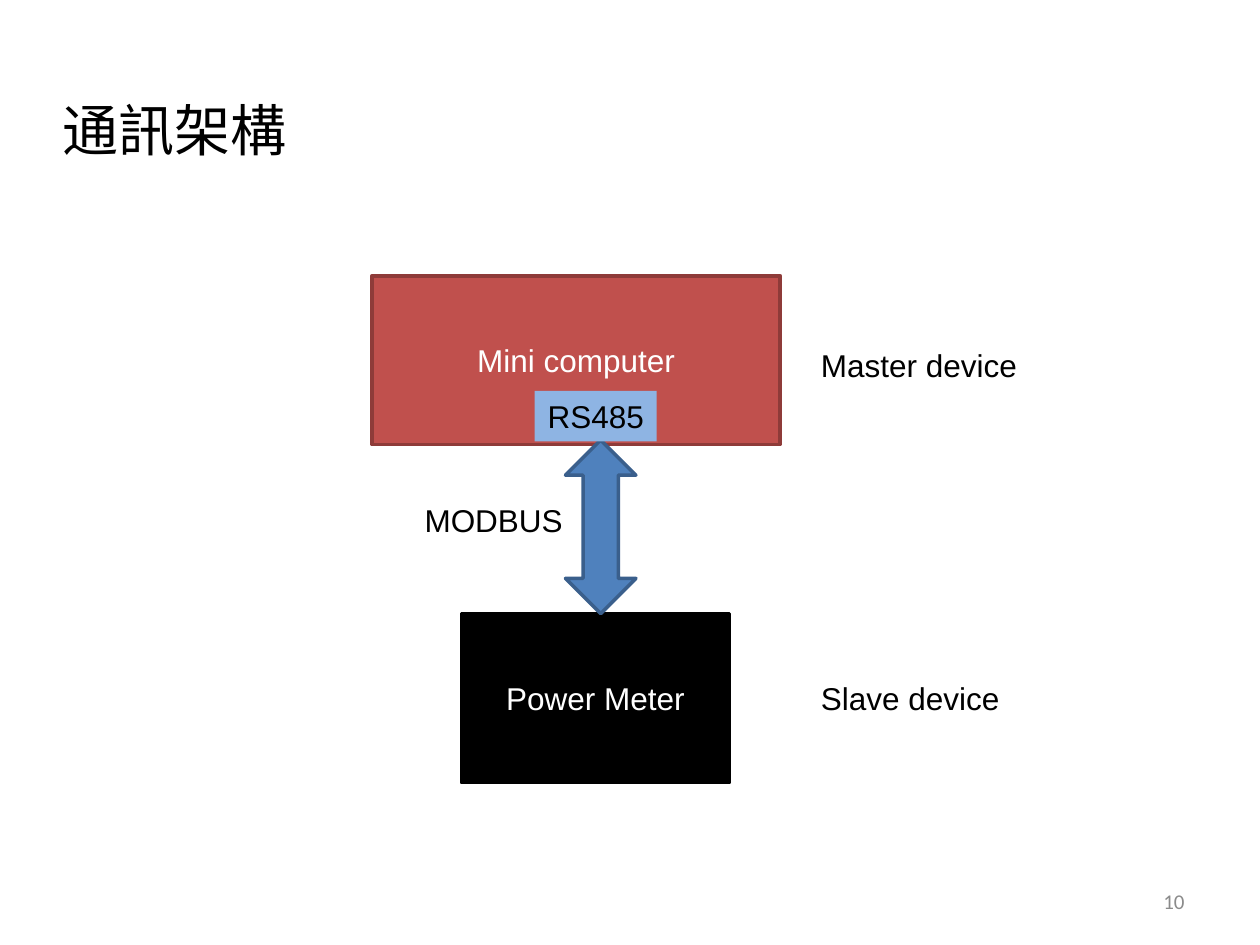
"""Build the communication architecture slide."""
from dataclasses import dataclass
from typing import Optional

from pptx import Presentation
from pptx.dml.color import RGBColor
from pptx.enum.shapes import MSO_SHAPE
from pptx.enum.text import MSO_ANCHOR, PP_ALIGN
from pptx.util import Cm, Pt

COLOURS = {
    "black": "000000",
    "white": "FFFFFF",
    "grey": "8B8B8B",
    "red": "C0504D",
    "dark red": "8E3B39",
    "blue": "4F81BD",
    "dark blue": "3A5F8C",
    "light blue": "8EB4E3",
}


@dataclass
class Block:
    left: float
    top: float
    width: float
    height: float
    fill: str
    line: Optional[str] = None
    text: str = ""
    colour: str = "white"
    kind: MSO_SHAPE = MSO_SHAPE.RECTANGLE


@dataclass
class Label:
    left: float
    top: float
    width: float
    text: str
    size: int = 18
    font: str = "Arial"
    colour: str = "black"
    align: PP_ALIGN = PP_ALIGN.LEFT


BLOCKS = [
    Block(9.3, 12.37, 5.41, 3.4, "black", "black", "Power Meter"),
    Block(7.5, 5.56, 8.23, 3.4, "red", "dark red", "Mini computer"),
    Block(11.4, 8.87, 1.42, 3.5, "blue", "dark blue", kind=MSO_SHAPE.UP_DOWN_ARROW),
    Block(10.78, 7.88, 2.46, 1.02, "light blue", None, "RS485", "black"),
]
LABELS = [
    Label(8.31, 9.98, 3.33, "MODBUS"),
    Label(16.3, 6.85, 4.5, "Master device"),
    Label(16.3, 13.56, 4.14, "Slave device"),
    Label(18.21, 17.65, 5.92, "10", 12, "Calibri", "grey", PP_ALIGN.RIGHT),
]


def colour_of(name: str) -> RGBColor:
    """Look up a named colour."""
    return RGBColor.from_string(COLOURS[name])


def write(box, text: str, size: int, font: str, colour: str, align: PP_ALIGN) -> None:
    """Put one formatted, vertically centred line of text in a box."""
    frame = box.text_frame
    frame.text = text
    frame.word_wrap = align == PP_ALIGN.RIGHT
    frame.vertical_anchor = MSO_ANCHOR.MIDDLE
    paragraph = frame.paragraphs[0]
    paragraph.alignment = align
    for span in paragraph.runs:
        span.font.size = Pt(size)
        span.font.name = font
        span.font.color.rgb = colour_of(colour)


def draw_block(page, block: Block) -> None:
    """Draw a filled shape with optional outline and text."""
    box = page.shapes.add_shape(
        block.kind, Cm(block.left), Cm(block.top), Cm(block.width), Cm(block.height)
    )
    box.shadow.inherit = False
    box.fill.solid()
    box.fill.fore_color.rgb = colour_of(block.fill)
    if block.line:
        box.line.color.rgb = colour_of(block.line)
        box.line.width = Pt(2)
    else:
        box.line.fill.background()
    if block.text:
        write(box, block.text, 18, "Arial", block.colour, PP_ALIGN.CENTER)


def draw_label(page, label: Label) -> None:
    """Draw a free-standing line of text."""
    box = page.shapes.add_textbox(
        Cm(label.left), Cm(label.top), Cm(label.width), Cm(1.02)
    )
    write(box, label.text, label.size, label.font, label.colour, label.align)


def main() -> None:
    """Assemble and save the deck."""
    deck = Presentation()
    deck.slide_width, deck.slide_height = Cm(25.4), Cm(19.05)
    page = deck.slides.add_slide(deck.slide_layouts[5])
    title = page.shapes.title
    title.left, title.top = Cm(1), Cm(1.79)
    title.width, title.height = Cm(5.08), Cm(1.63)
    write(title, "通訊架構", 32, "Arial", "black", PP_ALIGN.LEFT)
    for block in BLOCKS:
        draw_block(page, block)
    for label in LABELS:
        draw_label(page, label)
    deck.save("out.pptx")


if __name__ == "__main__":
    main()
